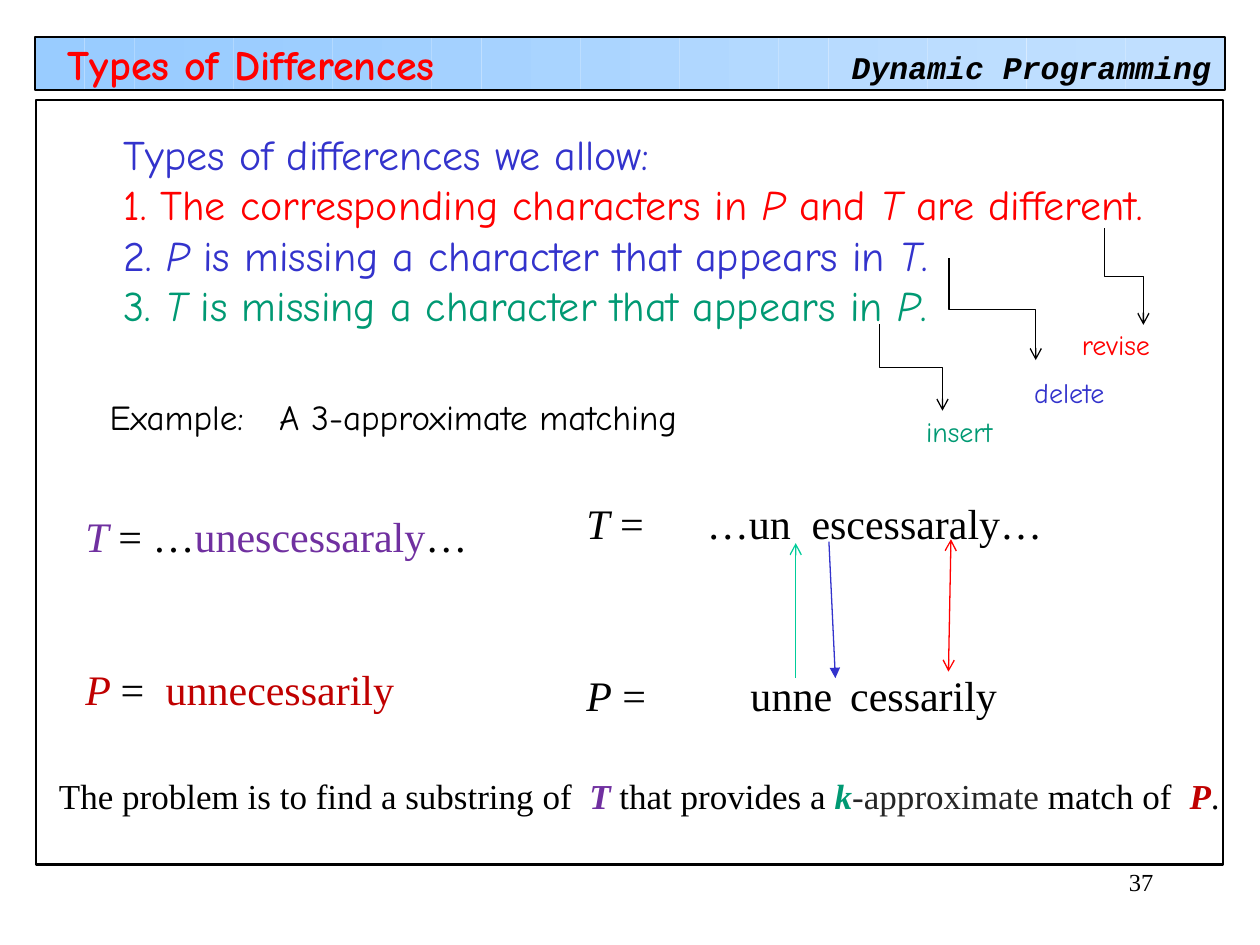
"""Build a slide on the types of differences in approximate matching."""
from math import cos, pi
from lxml.etree import SubElement
from pptx import Presentation
from pptx.dml.color import RGBColor
from pptx.enum.shapes import MSO_CONNECTOR, MSO_SHAPE
from pptx.enum.text import MSO_ANCHOR, PP_ALIGN
from pptx.oxml.ns import qn
from pptx.util import Cm, Pt

BLACK = RGBColor(0x00, 0x00, 0x00)
GREY = RGBColor(0x26, 0x26, 0x26)
RED = RGBColor(0xFF, 0x00, 0x00)
BLUE = RGBColor(0x33, 0x33, 0xCC)
GREEN = RGBColor(0x00, 0x99, 0x73)
MINT = RGBColor(0x00, 0xCC, 0x99)
PURPLE = RGBColor(0x70, 0x30, 0xA0)
BRICK = RGBColor(0xC0, 0x00, 0x00)
SKY = RGBColor(0x99, 0xCC, 0xFF)
PALE = RGBColor(0xC0, 0xDF, 0xFF)

COMIC = "Comic Neue"
TIMES = "Times New Roman"
MONO = "Courier New"


def add_box(slide, box, fill=None):
    """Add a plain filled box, or an outlined one when there is no fill."""
    shape = slide.shapes.add_shape(MSO_SHAPE.RECTANGLE, *map(Cm, box))
    shape.shadow.inherit = False
    if fill:
        shape.fill.solid()
        shape.fill.fore_color.rgb = fill
        shape.line.fill.background()
    else:
        shape.fill.background()
        shape.line.color.rgb = BLACK
        shape.line.width = Pt(1.25)


def add_bar(slide, left, top, wide, tall, count=24):
    """Add an outlined bar of strips that ease from one blue to the other."""
    step = wide / count
    for spot in range(count):
        part = (1 - cos(pi * spot / (count - 1))) / 2
        color = RGBColor(*(round(a + (b - a) * part) for a, b in zip(SKY, PALE)))
        add_box(slide, (left + spot * step, top, step, tall), color)
    add_box(slide, (left, top, wide, tall))


def add_tabs(para, stops):
    """Set left tab stops."""
    tabs = SubElement(para._p.get_or_add_pPr(), qn("a:tabLst"))
    for stop in stops:
        SubElement(tabs, qn("a:tab"), pos=str(Cm(stop)), algn="l")


def add_text(slide, box, lines, font, size, wrap=False, mid=False,
             align=PP_ALIGN.LEFT, gap=0, tabs=()):
    """Add lines of (text, color, style) runs, where style may hold b and i."""
    frame = slide.shapes.add_textbox(*map(Cm, box)).text_frame
    frame.word_wrap = wrap
    frame.vertical_anchor = MSO_ANCHOR.MIDDLE if mid else MSO_ANCHOR.TOP
    for row, runs in enumerate(lines):
        para = frame.add_paragraph() if row else frame.paragraphs[0]
        para.alignment = align
        if row and gap:
            para.space_before = Pt(gap)
        if tabs:
            add_tabs(para, tabs[row])
        for words, color, style in runs:
            run = para.add_run()
            run.text = words
            run.font.name = font
            run.font.size = Pt(size)
            run.font.color.rgb = color
            run.font.bold = "b" in style
            run.font.italic = "i" in style


def add_line(slide, kind, ends, color, tail="arrow", head=None):
    """Add a thin arrow."""
    link = slide.shapes.add_connector(kind, *map(Cm, ends))
    link.line.color.rgb = color
    link.line.width = Pt(0.75)
    line = link.line._get_or_add_ln()
    if head:
        SubElement(line, qn("a:headEnd"), type=head)
    SubElement(line, qn("a:tailEnd"), type=tail)
    SubElement(link._element.spPr, qn("a:effectLst"))
    return link


def add_step(slide, left, top, right, low):
    """Add an elbow arrow that leaves downwards and arrives downwards."""
    wide, tall = right - left, low - top
    x, y = (left + right - tall) / 2, (top + low - wide) / 2
    step = add_line(slide, MSO_CONNECTOR.ELBOW, (x, y, x + tall, y + wide), BLACK)
    form = step._element.spPr.find(qn("a:xfrm"))
    form.set("rot", str(270 * 60000))
    form.set("flipH", "1")


def add_head(slide):
    """Add the title bar, the frame and the page number."""
    add_bar(slide, 0.71, 0.75, 23.98, 1.07)
    add_box(slide, (0.72, 2.01, 23.93, 15.42))
    add_text(slide, (16.92, 0.84, 7.75, 1.02),
             [[("Dynamic Programming", BLACK, "bi")]], MONO, 18)
    add_text(slide, (20.12, 17.35, 3.38, 1.27), [[("37", BLACK, "")]], TIMES, 14,
             wrap=True, align=PP_ALIGN.RIGHT)
    add_text(slide, (1.12, 0.97, 13.13, 0.64),
             [[("Types of Differences", RED, "b")]], COMIC, 24, wrap=True, mid=True)


def add_rules(slide):
    """Add the allowed differences and the edit that each one needs."""
    def miss(lead, first, last, color):
        return [(lead, color, ""), (first, color, "i"),
                (" is missing a character that appears in ", color, ""),
                (last, color, "i"), (".", color, "")]

    lines = [
        [("Types of differences we allow:", BLUE, "")],
        [("1. The corresponding characters in ", RED, ""), ("P", RED, "i"),
         (" and ", RED, ""), ("T", RED, "i"), (" are different.", RED, "")],
        miss("2. ", "P", "T", BLUE),
        miss("3. ", "T", "P", GREEN),
    ]
    add_text(slide, (2.24, 2.46, 21.16, 4.32), lines, COMIC, 24, mid=True)
    edits = [
        ("revise", RED, (21.56, 6.48, 1.88, 0.94), (22.26, 4.6, 23.05, 6.55)),
        ("delete", BLUE, (20.6, 7.44, 1.93, 0.94), (19.13, 5.21, 20.88, 7.26)),
        ("insert", GREEN, (18.42, 8.23, 1.85, 0.94), (17.73, 6.53, 19, 8.28)),
    ]
    for word, color, box, ends in edits:
        add_text(slide, box, [[(word, color, "")]], COMIC, 16)
        add_step(slide, *ends)


def add_match(slide):
    """Add the example strings and the arrows between them."""
    add_text(slide, (1.96, 7.83, 12.01, 1.12),
             [[("Example:\tA 3-approximate matching", BLACK, "")]],
             COMIC, 20, wrap=True, mid=True, tabs=[[3.42]])
    add_text(slide, (1.47, 10.16, 8.59, 4.37),
             [[("T ", PURPLE, "i"), ("= …", BLACK, ""),
               ("unescessaraly", PURPLE, ""), ("…", BLACK, "")],
              [("P ", BRICK, "i"), ("=", BLACK, ""), ("\tunnecessarily", BRICK, "")]],
             TIMES, 24, wrap=True, gap=59, tabs=[[], [1.62]])
    add_text(slide, (11.57, 9.89, 9.7, 4.75),
             [[("T", BLACK, "i"), (" =\t…un\tescessaraly…", BLACK, "")],
              [("P", BLACK, "i"), (" =\tunne\tcessarily", BLACK, "")]],
             TIMES, 24, wrap=True, mid=True, gap=69.5,
             tabs=[[2.43, 4.54], [3.31, 5.32]])
    line = MSO_CONNECTOR.STRAIGHT
    add_line(slide, line, (16.71, 10.92, 16.84, 13.67), BLUE, "triangle")
    add_line(slide, line, (16.04, 13.67, 16.04, 10.95), MINT)
    add_line(slide, line, (19.17, 10.87, 19.12, 13.54), RED, head="arrow")


def add_goal(slide):
    """Add the closing statement of the problem."""
    runs = [("The problem is to find a substring of\t", BLACK, ""), ("T", PURPLE, "bi"),
            (" that provides a ", BLACK, ""), ("k", GREEN, "bi"),
            ("-approximate", GREY, ""), (" match of\t", BLACK, ""),
            ("P", BRICK, "bi"), (".", BLACK, "")]
    add_text(slide, (0.94, 15.49, 23.9, 1.12), [runs], TIMES, 20, wrap=True,
             tabs=[[10.69, 22.79]])


def main():
    """Build and save the deck."""
    deck = Presentation()
    deck.slide_width, deck.slide_height = Cm(25.4), Cm(19.05)
    slide = deck.slides.add_slide(deck.slide_layouts[6])
    for part in (add_head, add_rules, add_match, add_goal):
        part(slide)
    deck.save("out.pptx")


if __name__ == "__main__":
    main()
